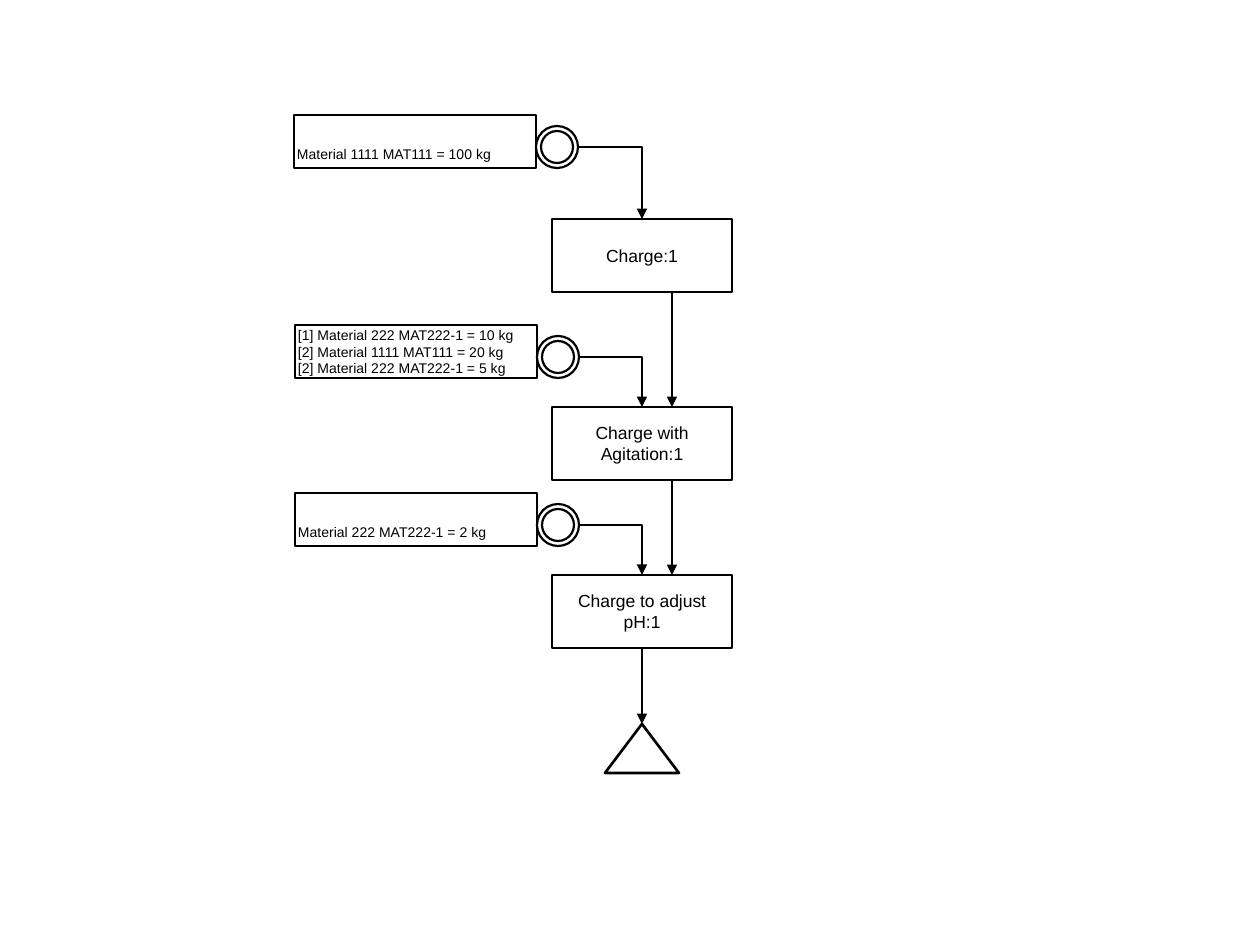
from lxml.etree import SubElement
from pptx import Presentation
from pptx.dml.color import RGBColor
from pptx.enum.shapes import MSO_CONNECTOR as Link, MSO_SHAPE as Shape
from pptx.enum.text import MSO_ANCHOR as Anchor, PP_ALIGN as Align
from pptx.oxml.ns import qn
from pptx.util import Emu, Pt

BLACK, WHITE = "000000", "FFFFFF"
PANEL_W, PANEL_H, RING = 242, 53, 42
STEP_X, STEP_W, STEP_H = 552, 180, 73
MID, SIDE = STEP_X + STEP_W // 2, STEP_X + 120
FEEDS = [
    (294, 115, ["Material 1111 MAT111 = 100 kg"], Anchor.BOTTOM, 6),
    (295, 325, ["[1] Material 222 MAT222-1 = 10 kg",
                "[2] Material 1111 MAT111 = 20 kg",
                "[2] Material 222 MAT222-1 = 5 kg"], Anchor.MIDDLE, 3),
    (295, 493, ["Material 222 MAT222-1 = 2 kg"], Anchor.BOTTOM, 6),
]
STEPS = [(219, "Charge:1"), (407, "Charge with Agitation:1"),
         (575, "Charge to adjust pH:1")]


def px(n):
    """Turn pixels into EMU."""
    return Emu(round(n * 914400 / 126))


def color(code):
    """Turn a hex string into a colour."""
    return RGBColor.from_string(code)


def add_part(slide, kind, x, y, w, h, line):
    """Add a white shape with a black outline."""
    part = slide.shapes.add_shape(kind, px(x), px(y), px(w), px(h))
    part.shadow.inherit = False
    part.fill.solid()
    part.fill.fore_color.rgb = color(WHITE)
    part.line.color.rgb = color(BLACK)
    part.line.width = Pt(line)
    return part


def write(part, rows, size=10, align=Align.CENTER, anchor=Anchor.MIDDLE,
          pad_x=13, pad_y=6):
    """Write one paragraph per row into a shape."""
    frame = part.text_frame
    frame.word_wrap = True
    frame.vertical_anchor = anchor
    frame.margin_left = frame.margin_right = px(pad_x)
    frame.margin_top = frame.margin_bottom = px(pad_y)
    frame.text = "\n".join(rows)
    for para in frame.paragraphs:
        para.alignment = align
        para.font.size = Pt(size)
        para.font.name = "Arial"
        para.font.color.rgb = color(BLACK)


def add_arrow(slide, x1, y1, x2, y2, kind=Link.STRAIGHT):
    """Add a black line with an arrowhead at its end."""
    arrow = slide.shapes.add_connector(kind, px(x1), px(y1), px(x2), px(y2))
    arrow.line.color.rgb = color(BLACK)
    arrow.line.width = Pt(1.5)
    props = arrow._element.spPr
    SubElement(props.find(qn("a:ln")), qn("a:tailEnd"), type="triangle")
    SubElement(props, qn("a:effectLst"))
    return arrow


def add_feed(slide, x, y, rows, anchor, pad):
    """Add a material panel with its double ring."""
    panel = add_part(slide, Shape.RECTANGLE, x, y, PANEL_W, PANEL_H, 1.5)
    write(panel, rows, size=8, align=Align.LEFT, anchor=anchor,
          pad_x=3, pad_y=pad)
    left, top = x + PANEL_W, y + 11
    for gap in (0, 5):
        side = RING - 2 * gap
        add_part(slide, Shape.OVAL, left + gap, top + gap, side, side, 1.25)


def add_step(slide, x, y, text):
    """Add a process step box."""
    step = add_part(slide, Shape.RECTANGLE, x, y, STEP_W, STEP_H, 0.75)
    write(step, [text])
    return step


def add_entry(slide, x, y, end):
    """Run an elbow arrow from a feed's ring down to a step."""
    arrow = add_arrow(slide, x + PANEL_W + RING, y + 32, MID, end, Link.ELBOW)
    arrow._element.spPr.find(qn("a:prstGeom")).set("prst", "bentConnector2")


def add_exit(slide, step, x, y):
    """Add the end triangle and the arrow from the last step."""
    goal = add_part(slide, Shape.ISOSCELES_TRIANGLE, x - 37, y, 74, 49, 1.5)
    arrow = add_arrow(slide, x, y - 76, x, y)
    arrow.begin_connect(step, 2)
    arrow.end_connect(goal, 0)


def main():
    """Build the process flow slide."""
    deck = Presentation()
    deck.slide_width, deck.slide_height = px(1260), px(945)
    slide = deck.slides.add_slide(deck.slide_layouts[6])
    for feed in FEEDS:
        add_feed(slide, *feed)
    boxes = [add_step(slide, STEP_X, y, text) for y, text in STEPS]
    for (x, y, *_), (end, _) in zip(FEEDS, STEPS):
        add_entry(slide, x, y, end)
    add_exit(slide, boxes[-1], MID, 724)
    for (top, _), (end, _) in zip(STEPS, STEPS[1:]):
        add_arrow(slide, SIDE, top + STEP_H, SIDE, end)
    deck.save("out.pptx")


if __name__ == "__main__":
    main()
